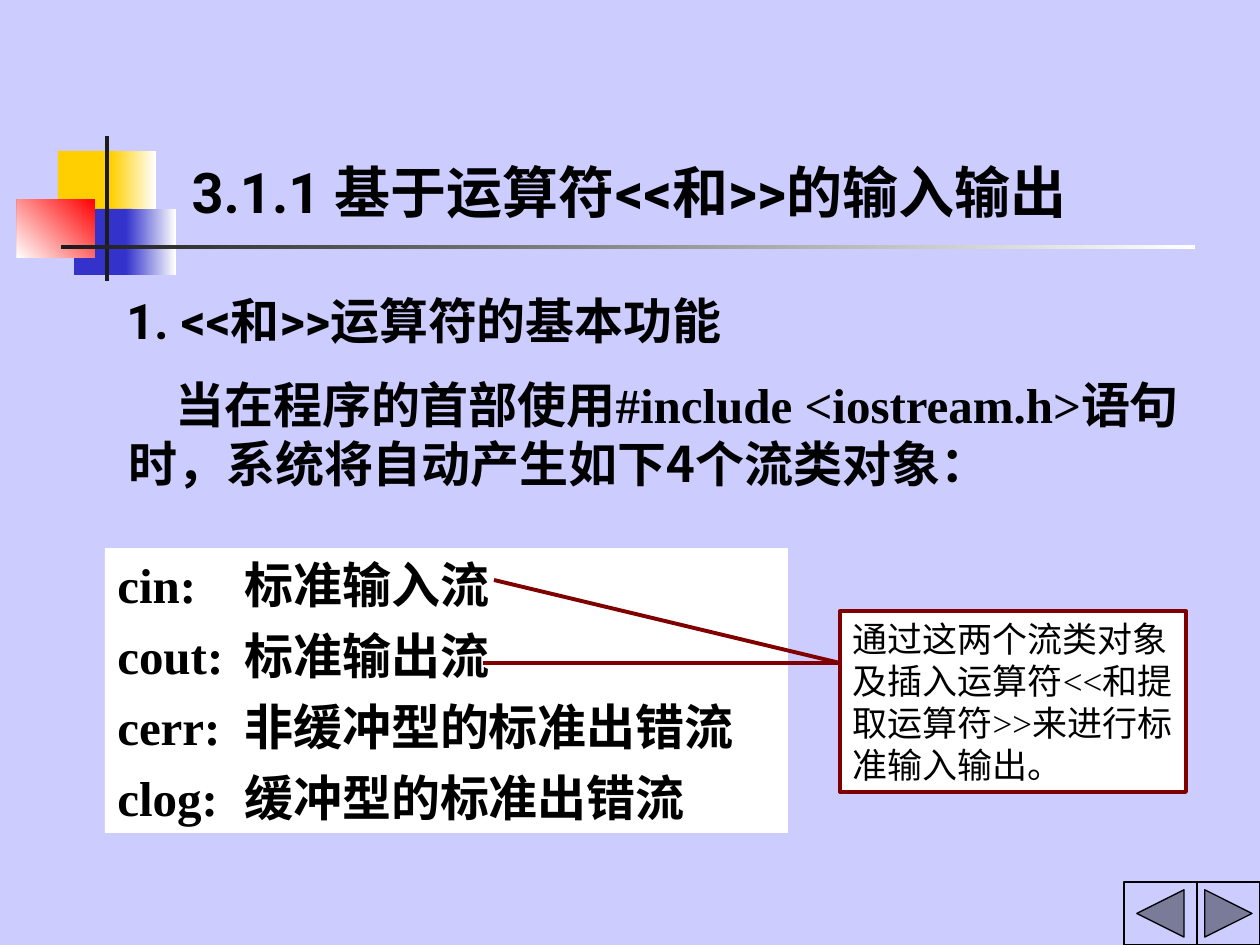
import pptx
import pptx.dml.color
import pptx.enum.shapes
import pptx.enum.text
import pptx.oxml.ns
import pptx.oxml.xmlchemy
import pptx.util

RGB = pptx.dml.color.RGBColor
BLACK = RGB(0, 0, 0)
WHITE = RGB(255, 255, 255)
LILAC = RGB(0xCC, 0xCC, 0xFF)
GOLD = RGB(0xFF, 0xCF, 0x01)
BLUE = RGB(0x33, 0x33, 0xCC)
RED = RGB(255, 0, 0)
INK = RGB(0x1C, 0x1C, 0x1C)
MAROON = RGB(0x80, 0, 0)

HAN = "Noto Sans CJK SC"
SANS = "Roboto"
SERIF = "Times New Roman"
KINDS = pptx.enum.shapes.MSO_SHAPE
ANCHOR = pptx.enum.text.MSO_ANCHOR


def px(n):
    return pptx.util.Emu(round(n * 914400 / 126))


def node(tag, **values):
    item = pptx.oxml.xmlchemy.OxmlElement(tag)
    for key, value in values.items():
        item.set(key, str(value))
    return item


class Deck:
    def __init__(self):
        self.prs = pptx.Presentation()
        self.prs.slide_width, self.prs.slide_height = px(1260), px(945)
        self.slide = self.prs.slides.add_slide(self.prs.slide_layouts[5])
        self.slide.background.fill.solid()
        self.slide.background.fill.fore_color.rgb = LILAC

    def shape(self, box, fill, line=None, width=2.25, kind=KINDS.RECTANGLE):
        item = self.slide.shapes.add_shape(kind, *map(px, box))
        item.shadow.inherit = False
        item.fill.solid()
        item.fill.fore_color.rgb = fill
        if line is None:
            item.line.fill.background()
        else:
            item.line.color.rgb = line
            item.line.width = pptx.util.Pt(width)
        return item

    def fade(self, box, start, angle=0):
        item = self.shape(box, start)
        item.fill.gradient()
        item.fill.gradient_angle = angle
        for stop, color in zip(item.fill.gradient_stops, (start, WHITE)):
            stop.color.rgb = color

    def line(self, *ends):
        item = self.slide.shapes.add_connector(
            pptx.enum.shapes.MSO_CONNECTOR.STRAIGHT, *map(px, ends))
        item.line.color.rgb = MAROON
        item.line.width = pptx.util.Pt(2.25)
        item._element.spPr.append(node("a:effectLst"))

    def label(self, item, rows, size, bold=True, gap=0, wrap=True,
              anchor=ANCHOR.TOP, indent=0, tab=0):
        frame = item.text_frame
        frame.auto_size = pptx.enum.text.MSO_AUTO_SIZE.NONE
        frame.word_wrap = wrap
        frame.vertical_anchor = anchor
        for i, row in enumerate(rows):
            para = frame.add_paragraph() if i else frame.paragraphs[0]
            para.alignment = pptx.enum.text.PP_ALIGN.LEFT
            para.space_before = pptx.util.Pt(gap)
            props = para._p.get_or_add_pPr()
            if indent:
                props.set("indent", str(px(indent)))
            if tab:
                tabs = node("a:tabLst")
                tabs.append(node("a:tab", pos=px(tab), algn="l"))
                props.append(tabs)
            for text, face in row:
                run = para.add_run()
                run.text = text
                font = run.font
                font.name, font.bold = face, bold
                font.size = pptx.util.Pt(size)
                font.color.rgb = BLACK
                if face == HAN:
                    latin = font._element.find(pptx.oxml.ns.qn("a:latin"))
                    latin.addnext(node("a:ea", typeface=face))

    def title(self, box, row):
        item = self.slide.shapes.title
        item.left, item.top, item.width, item.height = map(px, box)
        self.label(item, [row], 32, anchor=ANCHOR.BOTTOM)

    def text(self, box, row, **style):
        item = self.slide.shapes.add_textbox(*map(px, box))
        self.label(item, [row], 28, **style)


def main():
    deck = Deck()

    # Corner squares and rules
    deck.shape((58, 151, 60, 66), GOLD)
    deck.fade((111, 151, 45, 66), GOLD)
    deck.shape((74, 209, 58, 66), BLUE)
    deck.fade((126, 209, 50, 66), BLUE)
    deck.fade((17, 199, 78, 59), RED, 225)
    deck.shape((105, 136, 4, 145), INK)
    deck.fade((61, 245, 1134, 4), INK)

    # Headings
    deck.title((179, 158, 1043, 73), [
        ("3.1.1 ", SANS), ("基于运算符", HAN), ("<<", SANS),
        ("和", HAN), (">>", SANS), ("的输入输出", HAN)])
    deck.text((114, 284, 672, 72), [
        ("1. <<", SANS), ("和", HAN), (">>", SANS),
        ("运算符的基本功能", HAN)], wrap=False)

    # Stream list
    streams = [("cin:", "标准输入流"), ("cout:", "标准输出流"),
               ("cerr:", "非缓冲型的标准出错流"), ("clog:", "缓冲型的标准出错流")]
    panel = deck.shape((105, 548, 683, 285), WHITE)
    deck.label(panel, [[(name + "\t", SERIF), (role, HAN)]
                       for name, role in streams], 28, gap=7, tab=127)

    # Callout and its two leads
    note = deck.shape((840, 611, 346, 181), WHITE, MAROON)
    deck.label(note, [[
        ("通过这两个流类对象及插入运算符", HAN), ("<<", SERIF),
        ("和提取运算符", HAN), (">>", SERIF),
        ("来进行标准输入输出。", HAN)]], 20, bold=False, gap=5)
    deck.line(494, 580, 840, 663)
    deck.line(483, 663, 840, 663)

    # Page buttons
    deck.shape((1124, 882, 73, 63), LILAC, BLACK, 0.75,
               KINDS.ACTION_BUTTON_BACK_OR_PREVIOUS)
    deck.shape((1197, 882, 63, 63), LILAC, BLACK, 0.75,
               KINDS.ACTION_BUTTON_FORWARD_OR_NEXT)

    # Lead paragraph
    deck.text((116, 368, 1081, 131), [
        ("当在程序的首部使用", HAN), ("#include <iostream.h>", SERIF),
        ("语句时，系统将自动产生如下4个流类对象：", HAN)],
        gap=17.5, indent=47)

    deck.prs.save("out.pptx")


if __name__ == "__main__":
    main()
